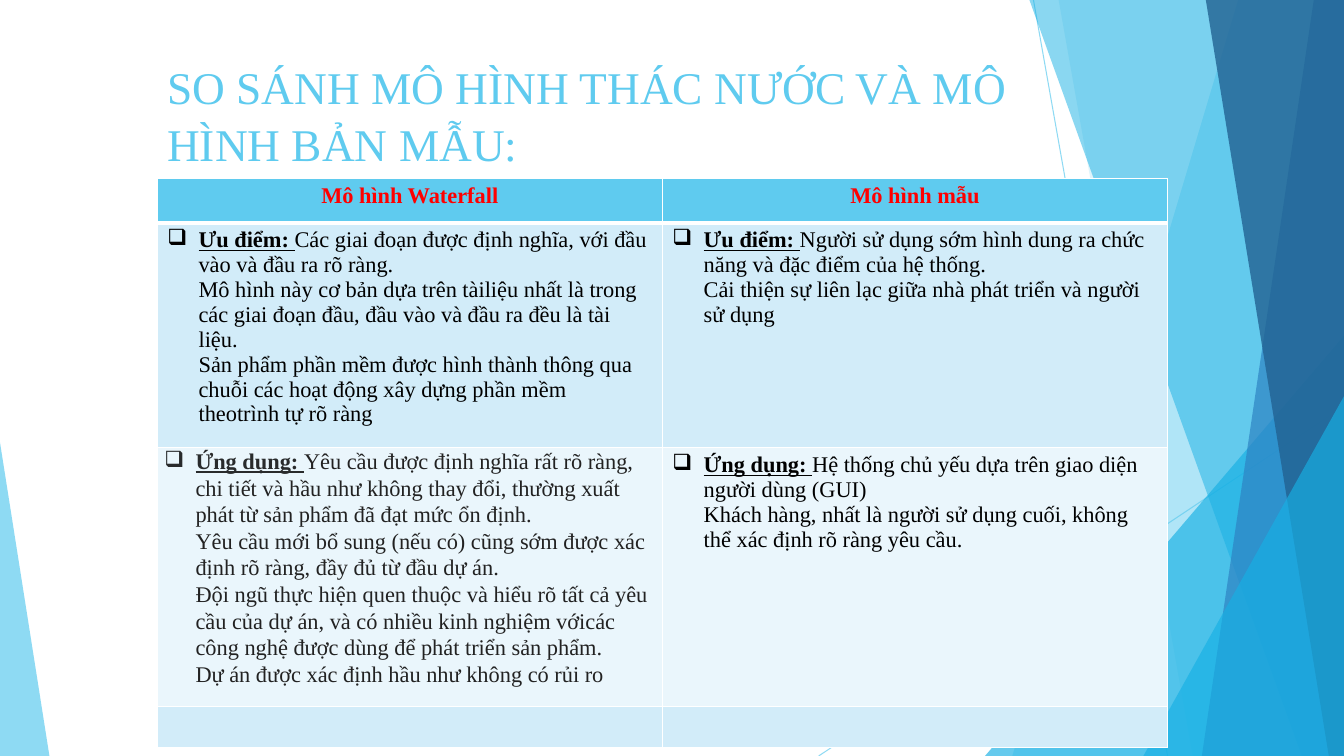
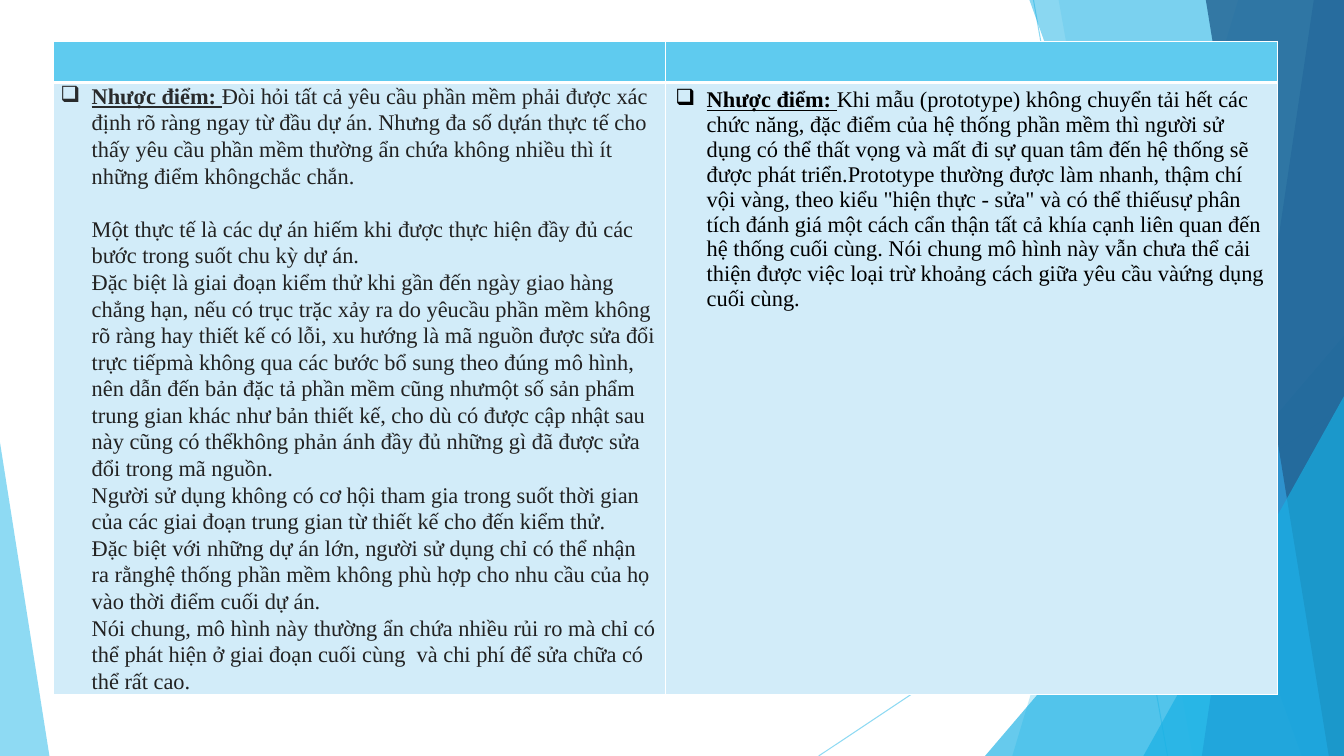
from dataclasses import dataclass

from lxml.etree import SubElement
from pptx import Presentation
from pptx.dml.color import RGBColor
from pptx.enum.shapes import MSO_CONNECTOR as Connector, MSO_SHAPE as Shape
from pptx.enum.text import MSO_ANCHOR as Anchor, PP_ALIGN as Align
from pptx.oxml.ns import qn
from pptx.util import Emu, Inches, Pt

# Shared style
COLORS = {
    "sky": "5FCBEF", "cyan": "17B0E4", "blue": "2E83C3", "navy": "226292",
    "white": "FFFFFF", "red": "FF0000", "black": "000000",
    "charcoal": "292B2C", "graphite": "222222",
    "row_dark": "D2ECF9", "row_light": "EAF6FC",
}
FONT = "Times New Roman"
BODY_SIZE = Pt(16)
WIDTH, HEIGHT = 13.33, 7.5
HANGING = Inches(0.31)
LINE_BREAK = "\v"


@dataclass
class Entry:
    """A bulleted cell: underlined label, then blocks of lines."""
    label: str
    blocks: list
    compact: bool = False


def rgb(name):
    return RGBColor.from_string(COLORS[name])


def set_opacity(shape, percent):
    for color in shape.element.spPr.iter(qn("a:srgbClr")):
        SubElement(color, qn("a:alpha"), val=str(percent * 1000))


def style_font(font, color, size=BODY_SIZE):
    font.name, font.size = FONT, size
    font.color.rgb = rgb(color)


# Backdrop
def paint_facet(shape, color, opacity):
    shape.shadow.inherit = False
    shape.fill.solid()
    shape.fill.fore_color.rgb = rgb(color)
    shape.line.fill.background()
    set_opacity(shape, opacity)


def add_band(slide, top_left, bottom_left, color, opacity):
    """Fill from a slanted left edge to the right side of the slide."""
    builder = slide.shapes.build_freeform(Inches(top_left), 0)
    corners = [(WIDTH, 0), (WIDTH, HEIGHT), (bottom_left, HEIGHT)]
    builder.add_line_segments([(Inches(x), Inches(y)) for x, y in corners])
    paint_facet(builder.convert_to_shape(), color, opacity)


def add_wedge(slide, left, top, width, apex, color, opacity):
    """Right triangle standing on the bottom of the slide."""
    shape = slide.shapes.add_shape(
        Shape.ISOSCELES_TRIANGLE, Inches(left), Inches(top),
        Inches(width), Inches(HEIGHT - top))
    shape.adjustments[0] = apex
    paint_facet(shape, color, opacity)


def add_ray(slide, *ends):
    connector = slide.shapes.add_connector(
        Connector.STRAIGHT, *[Inches(value) for value in ends])
    connector.line.color.rgb = rgb("sky")
    connector.line.width = Pt(0.75)
    set_opacity(connector, 70)
    SubElement(connector.element.spPr, qn("a:effectLst"))


def add_backdrop(slide):
    add_ray(slide, 10.25, 0, 11.58, HEIGHT)
    add_ray(slide, WIDTH, 4.03, 8.12, HEIGHT)
    add_band(slide, 12.28, 10.04, "sky", 36)
    add_band(slide, 10.5, 11.83, "sky", 20)
    add_wedge(slide, 9.77, 3.33, 3.56, 1, "cyan", 66)
    add_band(slide, 10.21, 12.91, "cyan", 50)
    add_band(slide, 13.03, 11.92, "blue", 70)
    add_band(slide, 11.96, 13.18, "navy", 80)
    add_wedge(slide, 11.34, 3.93, 1.99, 1, "cyan", 66)
    add_wedge(slide, 0, 4.39, 0.49, 0, "sky", 70)


# Title
def add_title(slide, text, left, top, width, height):
    box = slide.shapes.add_textbox(
        Inches(left), Inches(top), Inches(width), Inches(height))
    frame = box.text_frame
    frame.word_wrap = True
    frame.vertical_anchor = Anchor.TOP
    paragraph = frame.paragraphs[0]
    paragraph.text = text
    paragraph.line_spacing = 1.05
    style_font(paragraph.font, "sky", Pt(32.4))


# Comparison table
def set_borders(cell, row):
    """White rules, thicker on both sides of the edge under the header."""
    widths = {"L": 1, "R": 1, "T": 3 if row == 1 else 1, "B": 1 if row else 3}
    properties = cell._tc.get_or_add_tcPr()
    for position, (side, width) in enumerate(widths.items()):
        line = SubElement(properties, qn(f"a:ln{side}"), w=str(Pt(width)))
        fill = SubElement(line, qn("a:solidFill"))
        SubElement(fill, qn("a:srgbClr"), val=COLORS["white"])
        properties.insert(position, line)


def fill_heading(cell, text):
    paragraph = cell.text_frame.paragraphs[0]
    paragraph.text = text
    paragraph.alignment = Align.CENTER
    style_font(paragraph.font, "red")
    paragraph.font.bold = True


def add_run(paragraph, text, color, emphasis):
    run = paragraph.add_run()
    run.text = text
    style_font(run.font, color)
    run.font.bold = run.font.underline = emphasis


def fill_entry(cell, entry):
    frame = cell.text_frame
    label_color, text_color = "black", "black"
    if entry.compact:
        label_color, text_color = "charcoal", "graphite"
        cell.margin_left = cell.margin_right = Inches(0.07)
        cell.margin_top = cell.margin_bottom = 0
    for number, lines in enumerate(entry.blocks):
        paragraph = frame.add_paragraph() if number else frame.paragraphs[0]
        if entry.compact:
            paragraph.line_spacing = 1.07
            last = number == len(entry.blocks) - 1
            paragraph.space_after = Pt(6 if last else 19)
        properties = paragraph._p.get_or_add_pPr()
        properties.set("marL", str(HANGING))
        if number == 0:
            properties.set("indent", str(-HANGING))
            SubElement(properties, qn("a:buChar"), char="❑")
            add_run(paragraph, entry.label + " ", label_color, True)
        # Line breaks inside a block keep one bullet for the whole entry
        for position, line in enumerate(lines):
            if position:
                paragraph.add_line_break()
            add_run(paragraph, line, text_color, False)


def add_comparison(slide, rows, heights, left, top, width):
    columns = len(rows[0])
    table = slide.shapes.add_table(
        len(rows), columns, Inches(left), Inches(top),
        Inches(width), Inches(sum(heights))).table
    table.horz_banding = False
    for column in table.columns:
        column.width = Emu(Inches(width) // columns)
    for row, (height, contents) in enumerate(zip(heights, rows)):
        table.rows[row].height = Inches(height)
        band = "sky" if row == 0 else "row_dark" if row % 2 else "row_light"
        for column, content in enumerate(contents):
            cell = table.cell(row, column)
            cell.fill.solid()
            cell.fill.fore_color.rgb = rgb(band)
            set_borders(cell, row)
            if isinstance(content, Entry):
                fill_entry(cell, content)
            elif content:
                fill_heading(cell, content)


# Content
ADVANTAGES = [
    Entry("Ưu điểm:", [[
        "Các giai đoạn được định nghĩa, với đầu vào và đầu ra rõ ràng.",
        "Mô hình này cơ bản dựa trên tàiliệu nhất là trong các giai đoạn đầu, "
        "đầu vào và đầu ra đều là tài liệu.",
        "Sản phẩm phần mềm được hình thành thông qua chuỗi các hoạt động "
        "xây dựng phần mềm theotrình tự rõ ràng",
    ]]),
    Entry("Ưu điểm:", [[
        "Người sử dụng sớm hình dung ra chức năng và đặc điểm của hệ thống.",
        "Cải thiện sự liên lạc giữa nhà phát triển và người sử dụng",
    ]]),
]
APPLICATIONS = [
    Entry("Ứng dụng:", [[
        "Yêu cầu được định nghĩa rất rõ ràng, chi tiết và hầu như không "
        "thay đổi, thường xuất phát từ sản phẩm đã đạt mức ổn định.",
        "Yêu cầu mới bổ sung (nếu có) cũng sớm được xác định rõ ràng, "
        "đầy đủ từ đầu dự án.",
        "Đội ngũ thực hiện quen thuộc và hiểu rõ tất cả yêu cầu của dự án, "
        "và có nhiều kinh nghiệm vớicác công nghệ được dùng để phát triển "
        "sản phẩm.",
        "Dự án được xác định hầu như không có rủi ro",
    ]], compact=True),
    Entry("Ứng dụng:", [[
        "Hệ thống chủ yếu dựa trên giao diện người dùng (GUI)",
        "Khách hàng, nhất là người sử dụng cuối, không thể xác định "
        "rõ ràng yêu cầu.",
    ]]),
]
DRAWBACKS = [
    Entry("Nhược điểm:", [[
        "Đòi hỏi tất cả yêu cầu phần mềm phải được xác định rõ ràng ngay từ "
        "đầu dự án. Nhưng đa số dựán thực tế cho thấy yêu cầu phần mềm thường "
        "ẩn chứa không nhiều thì ít những điểm khôngchắc chắn.",
    ], [
        "Một thực tế là các dự án hiếm khi được thực hiện đầy đủ các bước "
        "trong suốt chu kỳ dự án.",
        "Đặc biệt là giai đoạn kiểm thử khi gần đến ngày giao hàng chẳng hạn, "
        "nếu có trục trặc xảy ra do yêucầu phần mềm không rõ ràng hay thiết kế "
        "có lỗi, xu hướng là mã nguồn được sửa đổi trực tiếpmà không qua các "
        "bước bổ sung theo đúng mô hình, nên dẫn đến bản đặc tả phần mềm cũng "
        "nhưmột số sản phẩm trung gian khác như bản thiết kế, cho dù có được "
        "cập nhật sau này cũng có thểkhông phản ánh đầy đủ những gì đã được "
        "sửa đổi trong mã nguồn.",
        "Người sử dụng không có cơ hội tham gia trong suốt thời gian của các "
        "giai đoạn trung gian từ thiết kế cho đến kiểm thử.",
        "Đặc biệt với những dự án lớn, người sử dụng chỉ có thể nhận ra "
        "rằnghệ thống phần mềm không phù hợp cho nhu cầu của họ vào thời điểm "
        "cuối dự án.",
        "Nói chung, mô hình này thường ẩn chứa nhiều rủi ro mà chỉ có thể "
        "phát hiện ở giai đoạn cuối cùng \u00a0và chi phí để sửa chữa có thể "
        "rất cao.",
    ]], compact=True),
    Entry("Nhược điểm:", [[
        "Khi mẫu (prototype) không chuyển tải hết các chức năng, đặc điểm của "
        "hệ thống phần mềm thì người sử dụng có thể thất vọng và mất đi sự "
        "quan tâm đến hệ thống sẽ được phát triển.Prototype thường được làm "
        "nhanh, thậm chí vội vàng, theo kiểu \"hiện thực - sửa\" và có thể "
        "thiếusự phân tích đánh giá một cách cẩn thận tất cả khía cạnh liên "
        "quan đến hệ thống cuối cùng. Nói chung mô hình này vẫn chưa thể cải "
        "thiện được việc loại trừ khoảng cách giữa yêu cầu vàứng dụng cuối "
        "cùng.",
    ]]),
]


# Slides
def new_slide(presentation):
    slide = presentation.slides.add_slide(presentation.slide_layouts[6])
    add_backdrop(slide)
    return slide


def build_strengths(presentation):
    slide = new_slide(presentation)
    add_title(slide, "SO SÁNH MÔ HÌNH THÁC NƯỚC VÀ MÔ HÌNH BẢN MẪU:",
              1.56, 0.51, 9.4, 1.44)
    rows = [["Mô hình Waterfall", "Mô hình mẫu"],
            ADVANTAGES, APPLICATIONS, ["", ""]]
    add_comparison(slide, rows, [0.44, 2.08, 2.36, 0.41], 1.56, 1.77, 10.02)


def build_drawbacks(presentation):
    slide = new_slide(presentation)
    add_comparison(slide, [["", ""], DRAWBACKS], [0.41, 6.06], 0.53, 0.41, 12.14)


presentation = Presentation()
presentation.slide_width = Inches(WIDTH)
presentation.slide_height = Inches(HEIGHT)
build_strengths(presentation)
build_drawbacks(presentation)
presentation.save("out.pptx")
